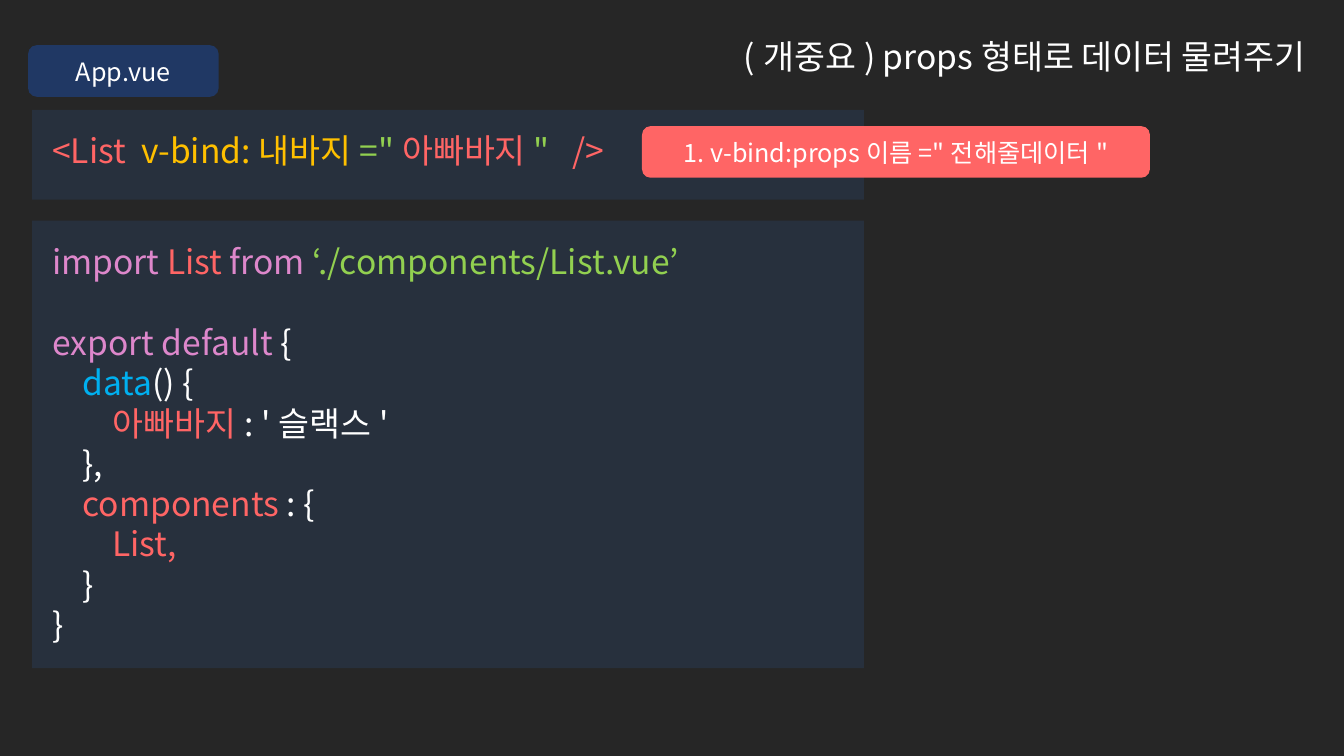
from lxml.etree import SubElement
from pptx import Presentation
from pptx.dml.color import RGBColor
from pptx.enum.shapes import MSO_SHAPE
from pptx.enum.text import MSO_ANCHOR, PP_ALIGN
from pptx.oxml.ns import qn
from pptx.util import Cm, Pt

TITLE = "(개중요) props형태로 데이터 물려주기"

TAG = [
    [("<List  ", "red"), ("v-bind:내바지", "gold"), ('="', "green"),
     ("아빠바지", "red"), ('"   ', "green"), ("/>", "red")],
]
CODE = [
    [("import ", "pink"), ("List", "red"), (" from ", "pink"),
     ("‘./components/List.vue’", "green")],
    [("export default ", "pink"), ("{", "white")],
    [("    data", "blue"), ("() {", "white")],
    [("        아빠바지", "red"), (": '슬랙스'", "white")],
    [("    },", "white")],
    [("    components", "red"), (" : {", "white")],
    [("        List,", "red")],
    [("    }", "white")],
    [("}", "white")],
]
PANELS = [(TAG, 2.26), (CODE, 11.28)]
BREAK = 1

BADGES = [
    ('1. v-bind:props이름="전해줄데이터"', "red", (16.18, 3.18, 12.8, 1.3)),
    ("App.vue", "navy", (0.71, 1.14, 4.8, 1.3)),
]

THEME = {
    "font": "Noto Sans CJK KR",
    "size": {"code": 24, "badge": 18},
    "line": 29,
    "color": {
        "back": "262626", "panel": "27303D", "navy": "203864",
        "red": "FF6565", "gold": "FFC000", "green": "92D050",
        "pink": "DD87CB", "blue": "00B0F0", "white": "FFFFFF",
    },
}

LEFT, TOP, WIDTH, GAP, PAD = 0.81, 2.77, 20.96, 0.53, 0.51


def tint(name):
    return RGBColor.from_string(THEME["color"][name])


def style(run, size, color):
    font = run.font
    font.size = Pt(THEME["size"][size])
    font.color.rgb = tint(color)
    font.name = THEME["font"]
    east = SubElement(font._element, qn("a:ea"))
    east.set("typeface", THEME["font"])


def block(slide, kind, place, fill):
    shape = slide.shapes.add_shape(kind, *map(Cm, place))
    shape.shadow.inherit = False
    shape.fill.solid()
    shape.fill.fore_color.rgb = tint(fill)
    shape.line.fill.background()
    return shape


def label(frame, text, size, align):
    frame.text = text
    frame.word_wrap = True
    line = frame.paragraphs[0]
    line.alignment = align
    style(line.runs[0], size, "white")
    return line


def panel(slide, lines, top, height):
    place = (LEFT, top, WIDTH, height)
    frame = block(slide, MSO_SHAPE.RECTANGLE, place, "panel").text_frame
    frame.word_wrap = True
    frame.vertical_anchor = MSO_ANCHOR.TOP
    frame.margin_left = frame.margin_right = Cm(PAD)
    frame.margin_top = frame.margin_bottom = Cm(PAD)
    for row, parts in enumerate(lines):
        line = frame.add_paragraph() if row else frame.paragraphs[0]
        line.alignment = PP_ALIGN.LEFT
        if row == BREAK:
            line.space_before = Pt(THEME["line"])
        for text, color in parts:
            run = line.add_run()
            run.text = text
            style(run, "code", color)


def main():
    deck = Presentation()
    deck.slide_width, deck.slide_height = Cm(33.87), Cm(19.05)
    slide = deck.slides.add_slide(deck.slide_layouts[6])
    slide.background.fill.solid()
    slide.background.fill.fore_color.rgb = tint("back")

    box = slide.shapes.add_textbox(Cm(10.49), Cm(0.69), Cm(22.66), Cm(1.4))
    title = label(box.text_frame, TITLE, "code", PP_ALIGN.RIGHT)
    title.line_spacing = 1.1

    top = TOP
    for lines, height in PANELS:
        panel(slide, lines, top, height)
        top += height + GAP

    for text, fill, place in BADGES:
        badge = block(slide, MSO_SHAPE.ROUNDED_RECTANGLE, place, fill)
        badge.text_frame.vertical_anchor = MSO_ANCHOR.MIDDLE
        label(badge.text_frame, text, "badge", PP_ALIGN.CENTER)

    deck.save("out.pptx")


if __name__ == "__main__":
    main()
